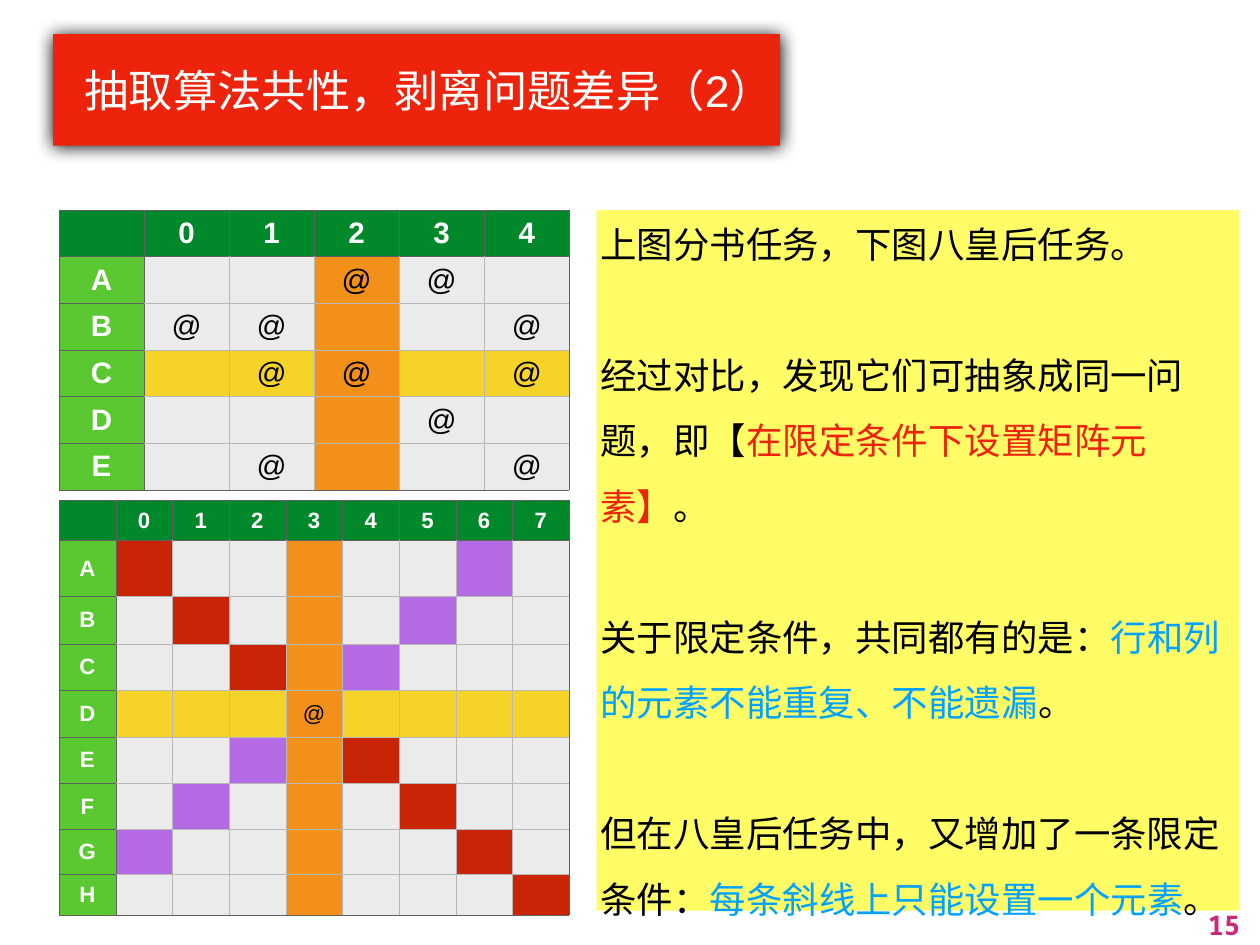
from lxml.etree import SubElement
from pptx import Presentation
from pptx.dml.color import RGBColor
from pptx.enum.text import MSO_ANCHOR, MSO_AUTO_SIZE, PP_ALIGN
from pptx.oxml.ns import qn
from pptx.util import Inches, Pt

color = RGBColor.from_string


def write_text(paragraph, text, size, font="Arial", fill="000000", bold=False, align=None):
    """Append a formatted run to the paragraph."""
    run = paragraph.add_run()
    run.text = text
    run.font.size = Pt(size)
    run.font.name = font
    run.font.bold = bold
    run.font.color.rgb = color(fill)
    if align is not None:
        paragraph.alignment = align


def place(shape, left, top, width, height, margin):
    """Set a shape's box in grid units and its text margins in inches."""
    shape.left, shape.width = int(left * column), int(width * column)
    shape.top, shape.height = int(top * row), int(height * row)
    frame = shape.text_frame
    frame.auto_size = MSO_AUTO_SIZE.NONE
    frame.margin_left = frame.margin_right = Inches(margin)
    frame.margin_top = frame.margin_bottom = Inches(margin)
    return frame


presentation = Presentation()
presentation.slide_width = Inches(14.22)
presentation.slide_height = Inches(10.67)
column = presentation.slide_width / 100
row = presentation.slide_height / 100
slide = presentation.slides.add_slide(presentation.slide_layouts[1])
title, body = slide.placeholders

# Slide number
number = slide.shapes.add_textbox(0, 0, 0, 0)
frame = place(number, 95.27, 95.48, 3.66, 4.5, 0.07)
frame.word_wrap = False
write_text(frame.paragraphs[0], "15", 22, "Noto Sans Mono", "CB2A7A", True, PP_ALIGN.RIGHT)

# Title banner
frame = place(title, 4.22, 3.62, 57.68, 11.8, 0.07)
frame.vertical_anchor = MSO_ANCHOR.MIDDLE
title.fill.solid()
title.fill.fore_color.rgb = color("EE230C")
write_text(frame.paragraphs[0], "抽取算法共性，剥离问题差异（2）", 36, fill="FFFFFF", align=PP_ALIGN.RIGHT)
effects = SubElement(title.element.spPr, qn("a:effectLst"))
shadow = SubElement(effects, qn("a:outerShdw"), blurRad=str(Pt(15)), dist=str(Pt(0.7)),
                    dir="5400000", algn="ctr", rotWithShape="0")
SubElement(shadow, qn("a:srgbClr"), val="000000")

# Grids: top, row heights, text size, marked cells, crossing cell, diagonals shown
books = {"A2", "A3", "B0", "B1", "B4", "C1", "C2", "C4", "D3", "E1", "E4"}
queen_rows = [4.25, 5.92, 5] + [4.92] * 4 + [4.72, 4.35]
grids = [
    (22.21, [4.94] * 6, 24, books, (2, 2), False),
    (52.95, queen_rows, 18, {"D3"}, (3, 3), True),
]
for top, heights, size, marked, (cross_y, cross_x), diagonals in grids:
    count = len(heights)
    last = count - 1
    table = slide.shapes.add_table(count, count, int(4.68 * column), int(top * row),
                                   int(40.5 * column), int(sum(heights) * row)).table
    table.first_row = table.horz_banding = False
    for index, height in enumerate(heights):
        table.rows[index].height = int(height * row)
        for position in range(count):
            cell = table.cell(index, position)
            y, x = index - 1, position - 1
            letter = "ABCDEFGH"[y]
            header = y < 0 or x < 0
            if header:
                fill = "00882B" if y < 0 else "5AC831"
                text = "" if y == x else str(x) if y < 0 else letter
            else:
                text = "@" if f"{letter}{x}" in marked else ""
                if x == cross_x:
                    fill = "F39019"
                elif y == cross_y:
                    fill = "F5D328"
                elif diagonals and y - x == cross_y - cross_x:
                    fill = "C82506"
                elif diagonals and y + x == cross_y + cross_x:
                    fill = "B36AE2"
                else:
                    fill = "EBEBEB"
            outer_edges = {"L": x == 0, "R": position == last, "T": y == 0, "B": index == last}
            properties = cell._tc.get_or_add_tcPr()
            for side, outer in outer_edges.items():
                line = SubElement(properties, qn(f"a:ln{side}"), w=str(Pt(0.25)))
                solid = SubElement(line, qn("a:solidFill"))
                SubElement(solid, qn("a:srgbClr"), val="606060" if header or outer else "B8B8B8")
            cell.fill.solid()
            cell.fill.fore_color.rgb = color(fill)
            cell.vertical_anchor = MSO_ANCHOR.MIDDLE
            cell.margin_left = cell.margin_right = Inches(0.06)
            cell.margin_top = cell.margin_bottom = Inches(0.06)
            if text:
                write_text(cell.text_frame.paragraphs[0], text, size, bold=header,
                           fill="FFFFFF" if header else "000000", align=PP_ALIGN.CENTER)
            else:
                cell.text_frame.paragraphs[0].font.size = Pt(size)

# Explanation panel: each paragraph is plain text, highlighted text, its colour, plain ending
explanations = [
    ("上图分书任务，下图八皇后任务。", "", "000000", ""),
    ("经过对比，发现它们可抽象成同一问题，即【", "在限定条件下设置矩阵元素】", "EE230C", "。"),
    ("关于限定条件，共同都有的是：", "行和列的元素不能重复、不能遗漏", "00A2FF", "。"),
    ("但在八皇后任务中，又增加了一条限定条件：", "每条斜线上只能设置一个元素", "00A2FF", "。"),
]
frame = place(body, 47.36, 22.24, 50.98, 74.13, 0.04)
frame.vertical_anchor = MSO_ANCHOR.MIDDLE
body.fill.solid()
body.fill.fore_color.rgb = color("FFFC66")
for index, (start, highlight, tint, end) in enumerate(explanations):
    paragraph = frame.add_paragraph() if index else frame.paragraphs[0]
    properties = paragraph._p.get_or_add_pPr()
    properties.set("marL", "0")
    properties.set("indent", "0")
    properties.set("hangingPunct", "0")
    SubElement(properties, qn("a:buNone"))
    paragraph.line_spacing = 1.5
    paragraph.space_before = Pt(53.2 if index else 0)
    for text, fill in ((start, "000000"), (highlight, tint), (end, "000000")):
        if text:
            write_text(paragraph, text, 29.6, "Calibri", fill)

presentation.save("out.pptx")
